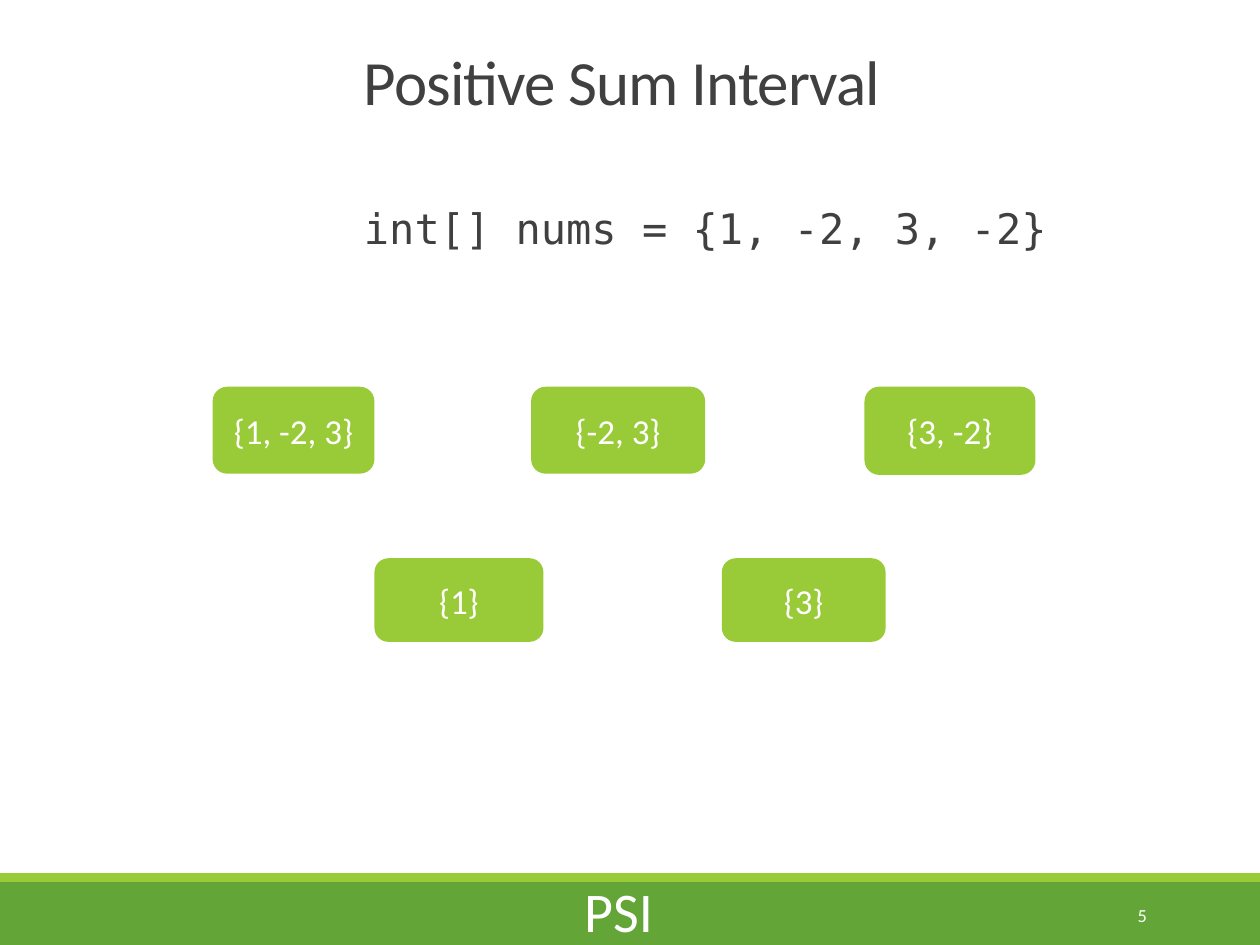
"""Build the Positive Sum Interval slide."""
from dataclasses import dataclass

import pptx
import pptx.dml.color
import pptx.enum.shapes
import pptx.enum.text
import pptx.slide
import pptx.text.text
import pptx.util

Pt = pptx.util.Pt
RGB = pptx.dml.color.RGBColor
SHAPE = pptx.enum.shapes.MSO_SHAPE
ALIGN = pptx.enum.text.PP_ALIGN
ANCHOR = pptx.enum.text.MSO_ANCHOR


@dataclass(frozen=True)
class Theme:
    white: RGB = RGB(0xFF, 0xFF, 0xFF)
    ink: RGB = RGB(0x40, 0x40, 0x40)
    lime: RGB = RGB(0x99, 0xCB, 0x38)
    green: RGB = RGB(0x63, 0xA5, 0x37)
    body_font: str = "Calibri"
    code_font: str = "DejaVu Sans Mono"
    title_size: float = 36
    footer_size: float = 32
    code_size: float = 24
    interval_size: float = 20
    number_size: float = 10.5


THEME = Theme()


@dataclass(frozen=True)
class Box:
    left: float
    top: float
    width: float
    height: float

    def lengths(self) -> list[pptx.util.Length]:
        return [Pt(v) for v in (self.left, self.top, self.width, self.height)]


@dataclass(frozen=True)
class Label:
    text: str
    box: Box
    size: float
    color: RGB
    font: str = THEME.body_font
    align: ALIGN = ALIGN.LEFT
    anchor: ANCHOR = ANCHOR.TOP
    inset: float = 3.6
    line_spacing: float = 1.0
    tracking: float = 0
    margin: float = 0
    indent: float = 0


@dataclass(frozen=True)
class Block:
    box: Box
    fill: RGB
    shape: SHAPE = SHAPE.RECTANGLE
    text: str = ""


BARS = (
    Block(Box(0, 504, 720, 36), THEME.green),
    Block(Box(0, 499, 720, 5), THEME.lime),
)
INTERVALS = tuple(
    Block(Box(left, top, width, height), THEME.lime, SHAPE.ROUNDED_RECTANGLE, text)
    for text, left, top, width, height in (
        ("{1, -2, 3}", 121.5, 221, 92.5, 49.7),
        ("{-2, 3}", 303.5, 221, 99.5, 49.7),
        ("{3, -2}", 494, 221, 97.7, 50.4),
        ("{1}", 214, 319, 96.6, 47.8),
        ("{3}", 412.5, 319, 93.6, 47.8),
    )
)
LABELS = (
    Label("5", Box(584.6, 508.3, 77.8, 28.8), THEME.number_size, THEME.white,
          align=ALIGN.RIGHT, anchor=ANCHOR.MIDDLE),
    Label("Positive Sum Interval", Box(200.9, 18.7, 550.8, 56.2), THEME.title_size,
          THEME.ink, anchor=ANCHOR.BOTTOM, inset=7.2, line_spacing=0.85, tracking=-0.5),
    Label("int[] nums = {1, -2, 3, -2}", Box(190.1, 111.6, 550.8, 51.1), THEME.code_size,
          THEME.ink, THEME.code_font, inset=7.2, line_spacing=0.9, margin=18, indent=-7.2),
    Label("PSI", Box(200.9, 496.8, 305.3, 46.1), THEME.footer_size, THEME.white,
          align=ALIGN.CENTER, anchor=ANCHOR.BOTTOM),
)


def format_run(r: pptx.text.text._Run, size: float, color: RGB, font: str) -> None:
    r.font.name = font
    r.font.size = Pt(size)
    r.font.color.rgb = color


def draw_block(s: pptx.slide.Slide, block: Block) -> None:
    sp = s.shapes.add_shape(block.shape, *block.box.lengths())
    sp.shadow.inherit = False
    sp.fill.solid()
    sp.fill.fore_color.rgb = block.fill
    sp.line.fill.background()
    if block.text:
        tf = sp.text_frame
        tf.text = block.text
        tf.vertical_anchor = ANCHOR.MIDDLE
        p = tf.paragraphs[0]
        p.alignment = ALIGN.CENTER
        format_run(p.runs[0], THEME.interval_size, THEME.white, THEME.body_font)


def draw_label(s: pptx.slide.Slide, label: Label) -> None:
    sp = s.shapes.add_textbox(*label.box.lengths())
    tf = sp.text_frame
    tf.text = label.text
    tf.word_wrap = True
    tf.vertical_anchor = label.anchor
    tf.margin_top = tf.margin_bottom = Pt(label.inset)
    p = tf.paragraphs[0]
    p.alignment = label.align
    p.line_spacing = label.line_spacing
    if label.margin:
        pPr = p._p.get_or_add_pPr()
        pPr.set("marL", str(Pt(label.margin)))
        pPr.set("indent", str(Pt(label.indent)))
    r = p.runs[0]
    format_run(r, label.size, label.color, label.font)
    if label.tracking:
        r._r.get_or_add_rPr().set("spc", str(round(label.tracking * 100)))


def main() -> None:
    prs = pptx.Presentation()
    prs.slide_width, prs.slide_height = Pt(720), Pt(540)
    s = prs.slides.add_slide(prs.slide_layouts[6])
    for block in BARS + INTERVALS:
        draw_block(s, block)
    for label in LABELS:
        draw_label(s, label)
    prs.save("out.pptx")


if __name__ == "__main__":
    main()
